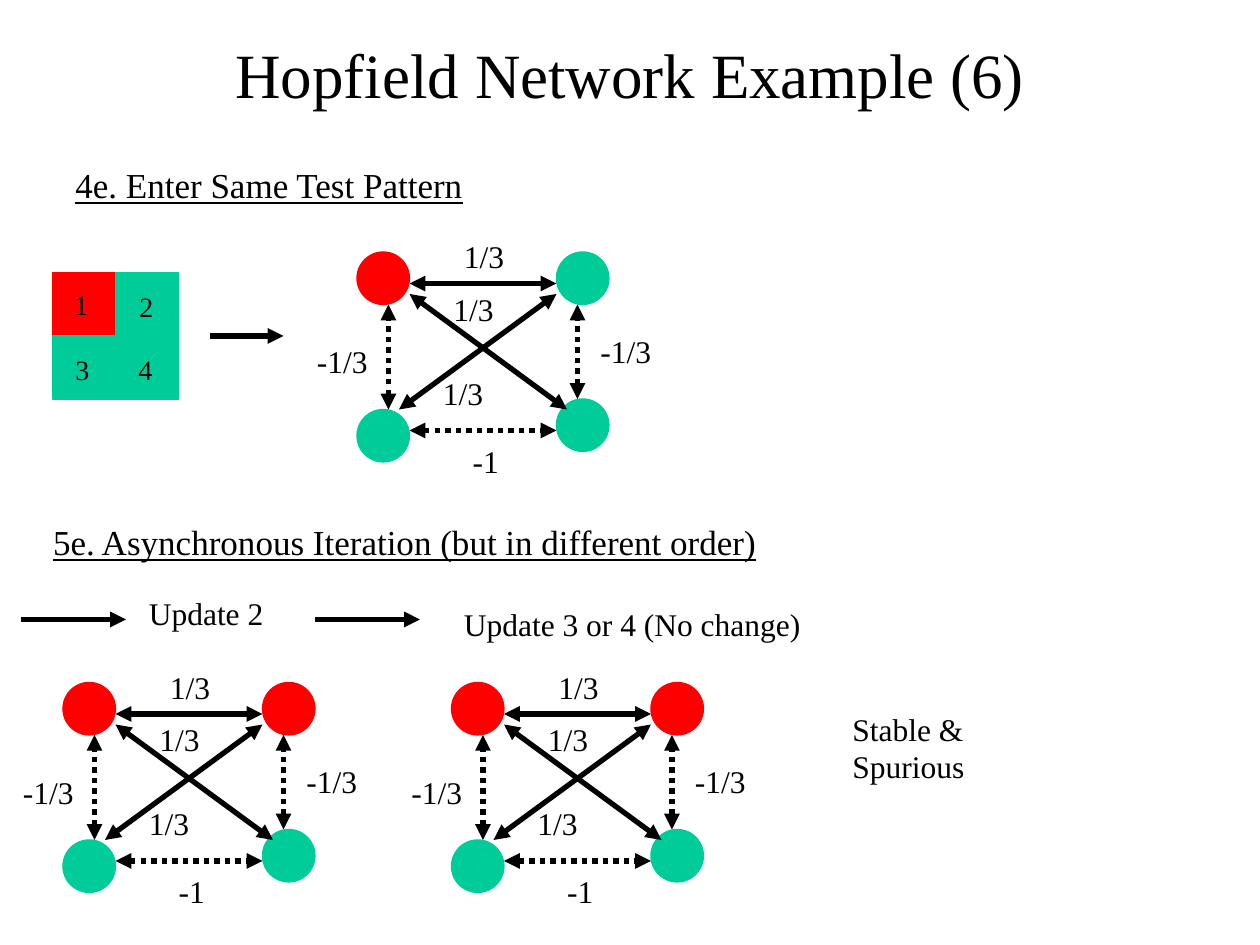
"""Build a slide that shows a Hopfield network settling into a spurious state."""
from lxml import etree
from pptx import Presentation
from pptx.dml.color import RGBColor
from pptx.enum.dml import MSO_LINE
from pptx.enum.shapes import MSO_CONNECTOR, MSO_SHAPE
from pptx.enum.text import MSO_ANCHOR, MSO_AUTO_SIZE, PP_ALIGN
from pptx.oxml.ns import qn
from pptx.util import Pt

RECT, OVAL = MSO_SHAPE.RECTANGLE, MSO_SHAPE.OVAL
STRAIGHT, DOTTED = MSO_CONNECTOR.STRAIGHT, MSO_LINE.ROUND_DOT
MIDDLE, CENTER = MSO_ANCHOR.MIDDLE, PP_ALIGN.CENTER
FIT_SHAPE, NO_FIT = MSO_AUTO_SIZE.SHAPE_TO_FIT_TEXT, MSO_AUTO_SIZE.NONE
FONT = "Times New Roman"
BLACK, RED, GREEN = "000000", "FF0000", "00CC99"
rgb = RGBColor.from_string


def add_text(shapes, text, x, y, w, h, size=18, underline=None):
    sp = shapes.add_textbox(Pt(x), Pt(y), Pt(w), Pt(h))
    tf = sp.text_frame
    tf.text = text
    tf.word_wrap = False
    tf.auto_size = FIT_SHAPE
    for p in tf.paragraphs:
        for r in p.runs:
            r.font.name = FONT
            r.font.size = Pt(size)
            r.font.underline = underline
            r.font.color.rgb = rgb(BLACK)


def add_arrow(shapes, x1, y1, x2, y2, ends=("tailEnd",), dotted=False):
    cxn = shapes.add_connector(STRAIGHT, Pt(x1), Pt(y1), Pt(x2), Pt(y2))
    cxn.line.width = Pt(3)
    cxn.line.color.rgb = rgb(BLACK)
    if dotted:
        cxn.line.dash_style = DOTTED
    ln = cxn.line._get_or_add_ln()
    for end in ends:
        etree.SubElement(ln, qn("a:" + end), type="triangle")
    etree.SubElement(cxn._element.spPr, qn("a:effectLst"))


prs = Presentation()
prs.slide_width, prs.slide_height = Pt(720), Pt(540)
s = prs.slides.add_slide(prs.slide_layouts[5])

title = s.shapes.title
title.left, title.top, title.width, title.height = Pt(54), Pt(24), Pt(612), Pt(36)
tf = title.text_frame
tf.text = "Hopfield Network Example (6)"
tf.auto_size = NO_FIT
tf.vertical_anchor = MIDDLE
p = tf.paragraphs[0]
p.alignment = CENTER
r = p.runs[0]
r.font.name = FONT
r.font.size = Pt(36)
r.font.color.rgb = rgb(BLACK)

add_text(s.shapes, "4e. Enter Same Test Pattern", 36, 90, 238, 32, 20, True)
add_text(s.shapes, "5e. Asynchronous Iteration (but in different order)",
         23.3, 294, 418, 32, 20, True)
add_text(s.shapes, "Update 2", 78, 336, 80, 29)
add_text(s.shapes, "Update 3 or 4 (No change)", 258, 342, 207, 29)
add_text(s.shapes, "Stable &\nSpurious", 480, 402, 79, 50)

for x1, x2, y in [(120, 162, 192), (12, 72, 354), (180, 240, 354)]:
    add_arrow(s.shapes, x1, y, x2, y)

pattern = [RED, GREEN, GREEN, GREEN]
digits = [(35.4, 160.5), (72.6, 162), (36, 198), (72, 198)]
filled = []
for i, color in enumerate(pattern):
    row, col = divmod(i, 2)
    sp = s.shapes.add_shape(RECT, Pt(30 + 36 * col), Pt(156 + 36 * row), Pt(36), Pt(36))
    filled.append((sp, color))
for i, (x, y) in enumerate(digits, 1):
    add_text(s.shapes, str(i), x, y, 22.5, 27, 16)

nodes = [(0, 0), (114, 0), (0, 90), (114, 84)]
edges = [
    (24, 90, 114, 24, False),
    (30, 18, 114, 18, False),
    (18, 90, 18, 30, True),
    (30, 24, 120, 90, False),
    (30, 102, 114, 102, True),
    (126, 84, 126, 30, True),
]
weights = [
    ("-1", 59, 105, 30),
    ("-1/3", -30, 48, 44),
    ("1/3", 42, 66, 38),
    ("1/3", 48, 18, 38),
    ("-1/3", 132, 42, 44),
    ("1/3", 54, -12, 38),
]
updated = [RED, RED, GREEN, GREEN]
networks = [
    (s.shapes, 204, 144, pattern),
    (s.shapes.add_group_shape().shapes, 36, 390, updated),
    (s.shapes.add_group_shape().shapes, 258, 390, updated),
]
for shapes, left, top, colors in networks:
    for (x, y), color in zip(nodes, colors):
        sp = shapes.add_shape(OVAL, Pt(left + x), Pt(top + y), Pt(30), Pt(30))
        filled.append((sp, color))
    for x1, y1, x2, y2, dotted in edges:
        add_arrow(shapes, left + x1, top + y1, left + x2, top + y2,
                  ("headEnd", "tailEnd"), dotted)
    for text, x, y, w in weights:
        add_text(shapes, text, left + x, top + y, w, 29)

for sp, color in filled:
    sp.shadow.inherit = False
    sp.fill.solid()
    sp.fill.fore_color.rgb = rgb(color)
    sp.line.color.rgb = rgb(color)
    sp.line.width = Pt(0.75)

prs.save("out.pptx")
